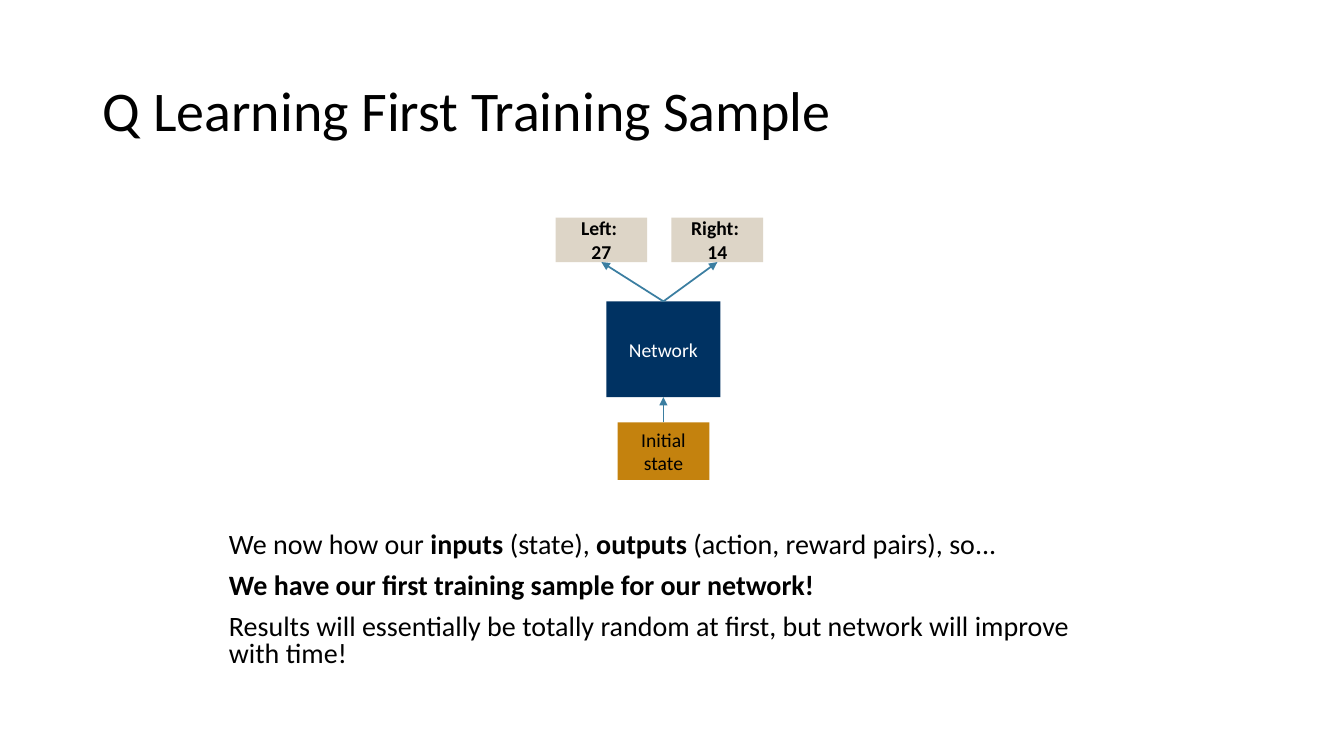
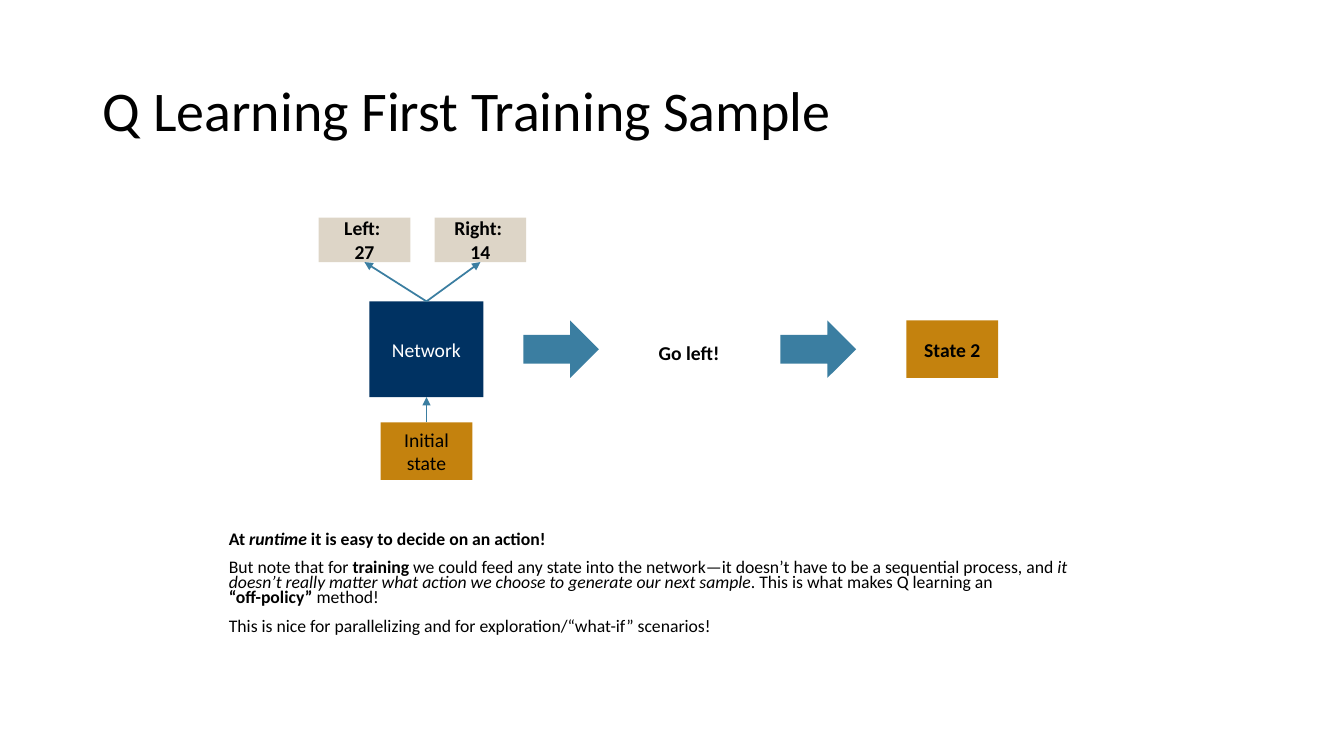
from dataclasses import dataclass

from lxml import etree
from pptx import Presentation
from pptx import util as u
from pptx.dml.color import RGBColor
from pptx.enum import shapes, text
from pptx.oxml.ns import qn


@dataclass(frozen=True)
class Theme:
    font: str = "Calibri"
    ink: str = "000000"
    paper: str = "FFFFFF"
    navy: str = "003262"
    blue: str = "3B7EA1"
    gold: str = "C4820E"
    sand: str = "DDD5C7"
    title_size: float = 40
    label_size: float = 14
    line_width: float = 1.25


THEME = Theme()
TITLE = "Q Learning First Training Sample"
SCORES = [["Left: ", "27"], ["Right: ", "14"]]
BREAK = "\n"

# Each paragraph is a list of (words, style); style holds b for bold, i for italic.
SAMPLE_NOTES = [
    [("We now how our ", ""), ("inputs", "b"), (" (state), ", ""), ("outputs", "b"),
     (" (action, reward pairs), so...", "")],
    [("We have our first training sample for our network!", "b")],
    [("Results will essentially be totally random at first, "
      "but network will improve with time!", "")],
]
RUNTIME_NOTES = [
    [("At ", "b"), ("runtime ", "bi"), ("it is easy to decide on an action!", "b")],
    [("But note that for ", ""), ("training", "b"),
     (" we could feed any state into the network—it doesn’t have to be "
      "a sequential process, and ", ""),
     ("it doesn’t really matter what action we choose to generate our next sample", "i"),
     (". This is what makes Q learning an ", ""), (BREAK, ""),
     ("“off-policy”", "b"), (" method!", "")],
    [("This is nice for parallelizing and for exploration/“what-if” scenarios!", "")],
]

# Inches
TITLE_AREA = (0.92, 0.4, 11.5, 1.45)
NOTES_LEFT, NOTES_TOP, NOTES_WIDTH = 2.17, 5.24, 9
SCORE_SIZE, STATE_SIZE = (0.91, 0.44), (0.91, 0.57)
NETWORK_SIZE, ARROW_SIZE = (1.13, 0.95), (0.75, 0.57)
SCORE_TOP, NETWORK_TOP, STATE_TOP = 2.16, 2.99, 4.19
SCORE_PITCH, SCORE_SHIFT = 1.15, -0.04
FLOW_MIDDLE = NETWORK_TOP + NETWORK_SIZE[1] / 2


def inches(*lengths):
    return [u.Inches(length) for length in lengths]


def color(code):
    return RGBColor.from_string(code)


def style_font(font, size, ink=THEME.ink, bold=None):
    font.name, font.size, font.bold = THEME.font, u.Pt(size), bold
    font.color.rgb = color(ink)


def write_label(frame, lines, ink=THEME.ink, bold=False):
    frame.word_wrap = True
    frame.margin_left = frame.margin_right = u.Inches(0.1)
    frame.margin_top = frame.margin_bottom = u.Inches(0.1)
    frame.text = "\n".join(lines)
    for paragraph in frame.paragraphs:
        paragraph.alignment = text.PP_ALIGN.CENTER
        style_font(paragraph.font, THEME.label_size, ink, bold)


def add_block(slide, kind, left, top, size, fill):
    block = slide.shapes.add_shape(kind, *inches(left, top, *size))
    block.shadow.inherit = False
    block.fill.solid()
    block.fill.fore_color.rgb = color(fill)
    block.line.fill.background()
    return block


def add_box(slide, left, top, size, fill, lines, ink=THEME.ink, bold=False):
    box = add_block(slide, shapes.MSO_SHAPE.RECTANGLE, left, top, size, fill)
    box.text_frame.vertical_anchor = text.MSO_ANCHOR.MIDDLE
    write_label(box.text_frame, lines, ink, bold)
    return box


def link_up(slide, lower, upper):
    """Arrow from the top of one box to the bottom of another."""
    link = slide.shapes.add_connector(shapes.MSO_CONNECTOR.STRAIGHT, 0, 0, 0, 0)
    link.begin_connect(lower, 0)
    link.end_connect(upper, 2)
    link.line.color.rgb = color(THEME.blue)
    link.line.width = u.Pt(THEME.line_width)
    etree.SubElement(link.line._get_or_add_ln(), qn("a:tailEnd"), type="triangle")
    etree.SubElement(link._element.spPr, qn("a:effectLst"))


def add_network(slide, center):
    """Initial state feeding the network, which scores both actions."""
    network = add_box(slide, center - NETWORK_SIZE[0] / 2, NETWORK_TOP, NETWORK_SIZE,
                      THEME.navy, ["Network"], THEME.paper)
    state = add_box(slide, center - STATE_SIZE[0] / 2, STATE_TOP, STATE_SIZE,
                    THEME.gold, ["Initial state"])
    link_up(slide, state, network)
    for side, lines in zip((-0.5, 0.5), SCORES):
        left = center + SCORE_SHIFT + side * SCORE_PITCH - SCORE_SIZE[0] / 2
        score = add_box(slide, left, SCORE_TOP, SCORE_SIZE, THEME.sand, lines, bold=True)
        link_up(slide, network, score)


def add_decision(slide):
    """Chosen action and the state it leads to, right of the network."""
    top = FLOW_MIDDLE - ARROW_SIZE[1] / 2
    for left in (5.19, 7.74):
        add_block(slide, shapes.MSO_SHAPE.RIGHT_ARROW, left, top, ARROW_SIZE, THEME.blue)
    action = slide.shapes.add_textbox(*inches(6.06, 3.28, 1.55, 0.4))
    write_label(action.text_frame, ["Go left!"], bold=True)
    add_box(slide, 8.99, top, STATE_SIZE, THEME.gold, ["State 2"], bold=True)


def place(shape, area):
    shape.left, shape.top, shape.width, shape.height = inches(*area)


def write_notes(body, notes, size, spacing):
    frame = body.text_frame
    frame.auto_size = text.MSO_AUTO_SIZE.NONE
    for index, runs in enumerate(notes):
        paragraph = frame.add_paragraph() if index else frame.paragraphs[0]
        paragraph.line_spacing, paragraph.space_before = spacing, u.Pt(10)
        style_font(paragraph.font, size)
        properties = paragraph._p.get_or_add_pPr()
        properties.set("marL", "0")
        properties.set("indent", "0")
        properties.find(qn("a:defRPr")).addprevious(
            etree.Element(qn("a:buNone")))
        for words, style in runs:
            if words == BREAK:
                paragraph.add_line_break()
                continue
            run = paragraph.add_run()
            run.text = words
            run.font.bold, run.font.italic = "b" in style, "i" in style


def add_slide(deck, notes, height, size, spacing):
    slide = deck.slides.add_slide(deck.slide_layouts[1])
    title, body = slide.placeholders
    place(title, TITLE_AREA)
    title.text_frame.text = TITLE
    title.text_frame.vertical_anchor = text.MSO_ANCHOR.MIDDLE
    heading = title.text_frame.paragraphs[0]
    heading.alignment, heading.line_spacing = text.PP_ALIGN.LEFT, 0.9
    style_font(heading.font, THEME.title_size)
    place(body, (NOTES_LEFT, NOTES_TOP, NOTES_WIDTH, height))
    write_notes(body, notes, size, spacing)
    return slide


def main():
    deck = Presentation()
    deck.slide_width, deck.slide_height = inches(13.33, 7.5)
    sample = add_slide(deck, SAMPLE_NOTES, height=1.46, size=20, spacing=0.8)
    add_network(sample, center=6.58)
    runtime = add_slide(deck, RUNTIME_NOTES, height=1.25, size=12.6, spacing=0.7)
    add_network(runtime, center=4.23)
    add_decision(runtime)
    deck.save("out.pptx")


if __name__ == "__main__":
    main()
